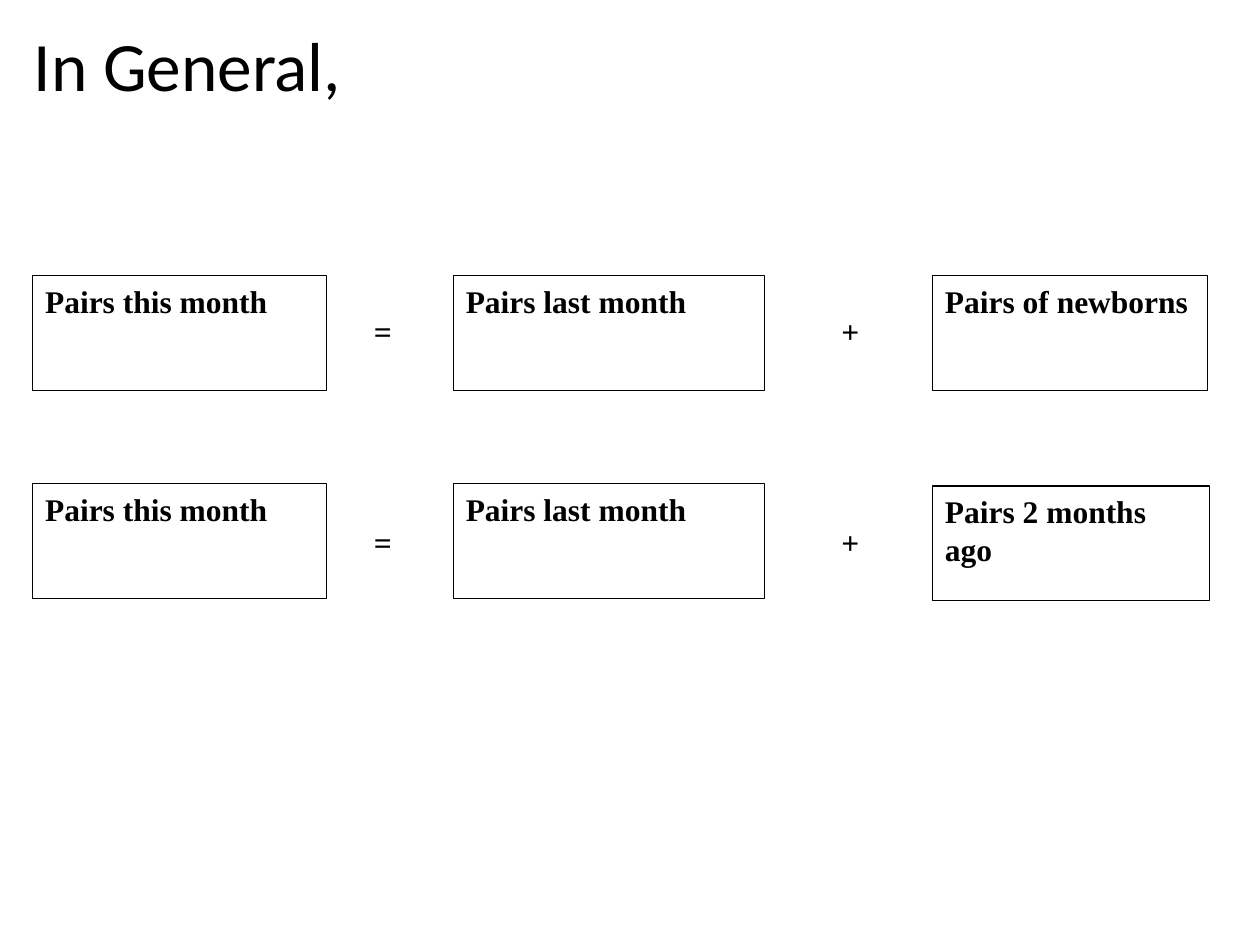
from pptx import Presentation
from pptx.dml.color import RGBColor
from pptx.enum import shapes, text
from pptx.util import Cm, Pt

BLACK = RGBColor(0, 0, 0)
TERM = {"name": "Times New Roman", "size": Pt(18), "bold": True}
HEAD = {"name": "Calibri", "size": Pt(39.6), "bold": False}
HIGH = 2.31
# left and width of each part, relative to the row
TERMS = [(0, 5.92), (8.48, 6.27), (18.14, 5.54)]
SIGNS = [("=", 6.63), ("+", 16.05)]


def write(shape, words, font, anchor=text.MSO_ANCHOR.TOP):
    frame = shape.text_frame
    frame.word_wrap = True
    frame.vertical_anchor = anchor
    para = frame.paragraphs[0]
    para.alignment = text.PP_ALIGN.LEFT
    run = para.add_run()
    run.text = words
    for key, value in font.items():
        setattr(run.font, key, value)
    run.font.color.rgb = BLACK
    return para


def add_title(slide, left, top, width, height):
    box = slide.shapes.add_textbox(Cm(left), Cm(top), Cm(width), Cm(height))
    para = write(box, "In General,", HEAD, text.MSO_ANCHOR.MIDDLE)
    para.line_spacing = 0.9


def add_term(slide, words, left, top, width):
    box = slide.shapes.add_shape(shapes.MSO_SHAPE.RECTANGLE,
                                 Cm(left), Cm(top), Cm(width), Cm(HIGH))
    box.shadow.inherit = False
    box.fill.background()
    box.line.color.rgb = BLACK
    box.line.width = Pt(0.75)
    write(box, words, TERM)


def add_sum(slide, left, top, last, drop=0, extra=0):
    """Place one equation; drop and extra shift and widen its last term."""
    names = ["Pairs this month", "Pairs last month", last]
    shifts = [(0, 0), (0, 0), (drop, extra)]
    for words, (x, width), (down, more) in zip(names, TERMS, shifts):
        add_term(slide, words, left + x, top + down, width + more)
    for sign, x in SIGNS:
        box = slide.shapes.add_textbox(Cm(left + x), Cm(top + 0.61 + drop),
                                       Cm(1.78), Cm(1.27))
        write(box, sign, TERM)


def main():
    deck = Presentation()
    deck.slide_width, deck.slide_height = Cm(25.4), Cm(19.05)
    slide = deck.slides.add_slide(deck.slide_layouts[6])
    add_title(slide, 0.43, 0.46, 24.43, 1.88)
    add_sum(slide, 0.66, 5.56, "Pairs of newborns")
    add_sum(slide, 0.66, 9.75, "Pairs 2 months ago", drop=0.05, extra=0.05)
    deck.save("out.pptx")


if __name__ == "__main__":
    main()
